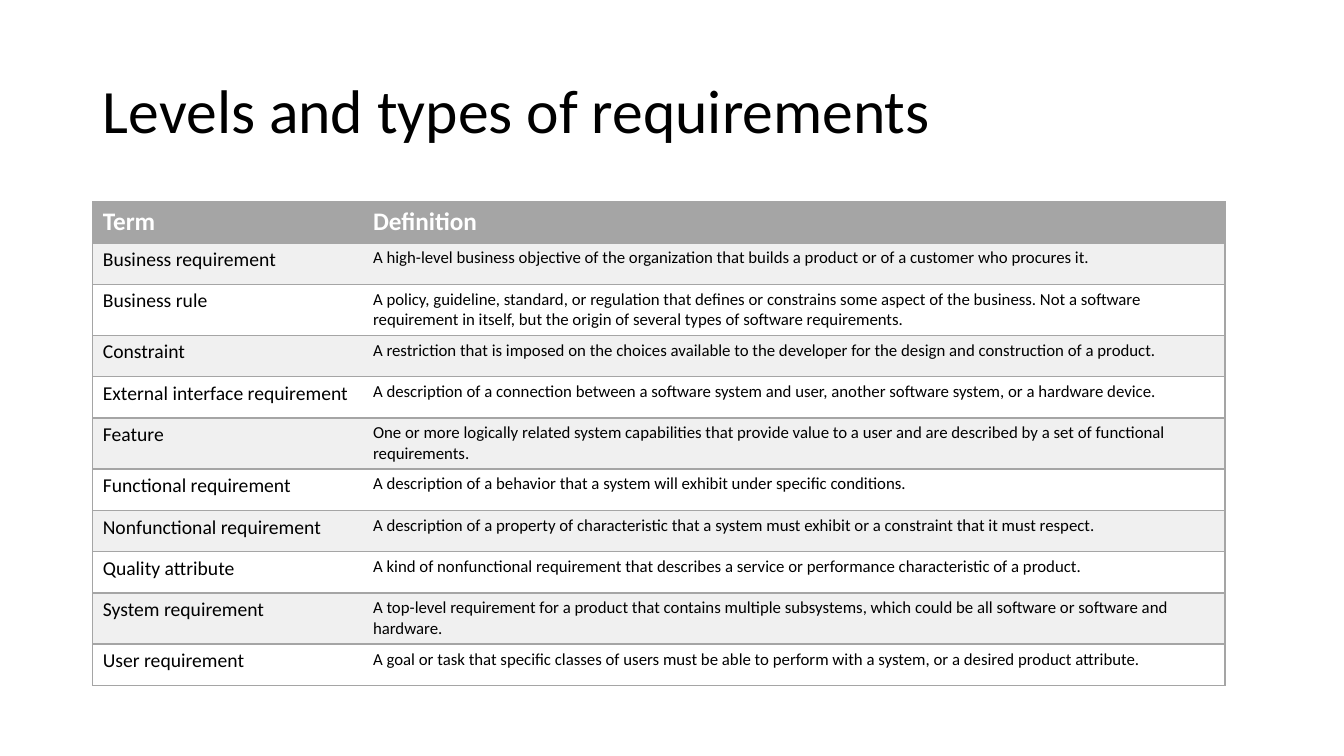
"""Build a slide with a table of requirement terms and their definitions."""
from lxml.etree import SubElement
from pptx import Presentation
from pptx.dml.color import RGBColor
from pptx.enum.text import MSO_ANCHOR, PP_ALIGN
from pptx.oxml.ns import qn
from pptx.util import Inches, Pt

TITLE = "Levels and types of requirements"
ROWS = [
    ("Term", "Definition"),
    ("Business requirement",
     "A high-level business objective of the organization that builds a product or of a customer who procures it."),
    ("Business rule",
     "A policy, guideline, standard, or regulation that defines or constrains some aspect of the business. "
     "Not a software requirement in itself, but the origin of several types of software requirements."),
    ("Constraint",
     "A restriction that is imposed on the choices available to the developer for the design and construction "
     "of a product."),
    ("External interface requirement",
     "A description of a connection between a software system and user, another software system, "
     "or a hardware device."),
    ("Feature",
     "One or more logically related system capabilities that provide value to a user and are described by "
     "a set of functional requirements."),
    ("Functional requirement",
     "A description of a behavior that a system will exhibit under specific conditions."),
    ("Nonfunctional requirement",
     "A description of a property of characteristic that a system must exhibit or a constraint that it must respect."),
    ("Quality attribute",
     "A kind of nonfunctional requirement that describes a service or performance characteristic of a product."),
    ("System requirement",
     "A top-level requirement for a product that contains multiple subsystems, which could be all software "
     "or software and hardware."),
    ("User requirement",
     "A goal or task that specific classes of users must be able to perform with a system, "
     "or a desired product attribute."),
]
COL_WIDTHS = (2.68, 8.55)
COL_SIZES = (14, 12)
OUTER_EDGE = ("L", "R")
ROW_HEIGHT = 0.41
LEFT, TOP = 0.92, 2
FONT = "Calibri"
GREY, BAND, WHITE, BLACK = "A5A5A5", "F0F0F0", "FFFFFF", "000000"


def rgb(value):
    return RGBColor.from_string(value)


def style_font(p, size, color, bold=False):
    p.font.name, p.font.size, p.font.bold = FONT, Pt(size), bold
    p.font.color.rgb = rgb(color)


def set_borders(cell, visible):
    tc_pr = cell._tc.get_or_add_tcPr()
    for side in "LRTB":
        ln = SubElement(tc_pr, qn(f"a:ln{side}"), w=str(Pt(1)))
        if side in visible:
            fill = SubElement(ln, qn("a:solidFill"))
            SubElement(fill, qn("a:srgbClr"), val=GREY)
        else:
            SubElement(ln, qn("a:noFill"))


def add_title(s):
    title = s.shapes.title
    title.left, title.top, title.width, title.height = map(Inches, (LEFT, 0.4, 11.5, 1.45))
    tf = title.text_frame
    tf.text = TITLE
    tf.vertical_anchor = MSO_ANCHOR.MIDDLE
    p = tf.paragraphs[0]
    p.alignment, p.line_spacing = PP_ALIGN.LEFT, 0.9
    style_font(p, 44, BLACK)


def add_terms(s):
    table = s.shapes.add_table(len(ROWS), len(COL_WIDTHS), Inches(LEFT), Inches(TOP),
                               Inches(sum(COL_WIDTHS)), Inches(ROW_HEIGHT * len(ROWS))).table
    for column, width in zip(table.columns, COL_WIDTHS):
        column.width = Inches(width)
    for i, texts in enumerate(ROWS):
        table.rows[i].height = Inches(ROW_HEIGHT)
        header = i == 0
        fill = GREY if header else (WHITE, BAND)[i % 2]
        for j, text in enumerate(texts):
            cell = table.cell(i, j)
            cell.text = text
            set_borders(cell, OUTER_EDGE[j] + "TB")
            cell.fill.solid()
            cell.fill.fore_color.rgb = rgb(fill)
            style_font(cell.text_frame.paragraphs[0], 18 if header else COL_SIZES[j],
                       WHITE if header else BLACK, header)


def main():
    prs = Presentation()
    prs.slide_width, prs.slide_height = Inches(13.33), Inches(7.5)
    s = prs.slides.add_slide(prs.slide_layouts[5])
    add_title(s)
    add_terms(s)
    prs.save("out.pptx")


if __name__ == "__main__":
    main()
